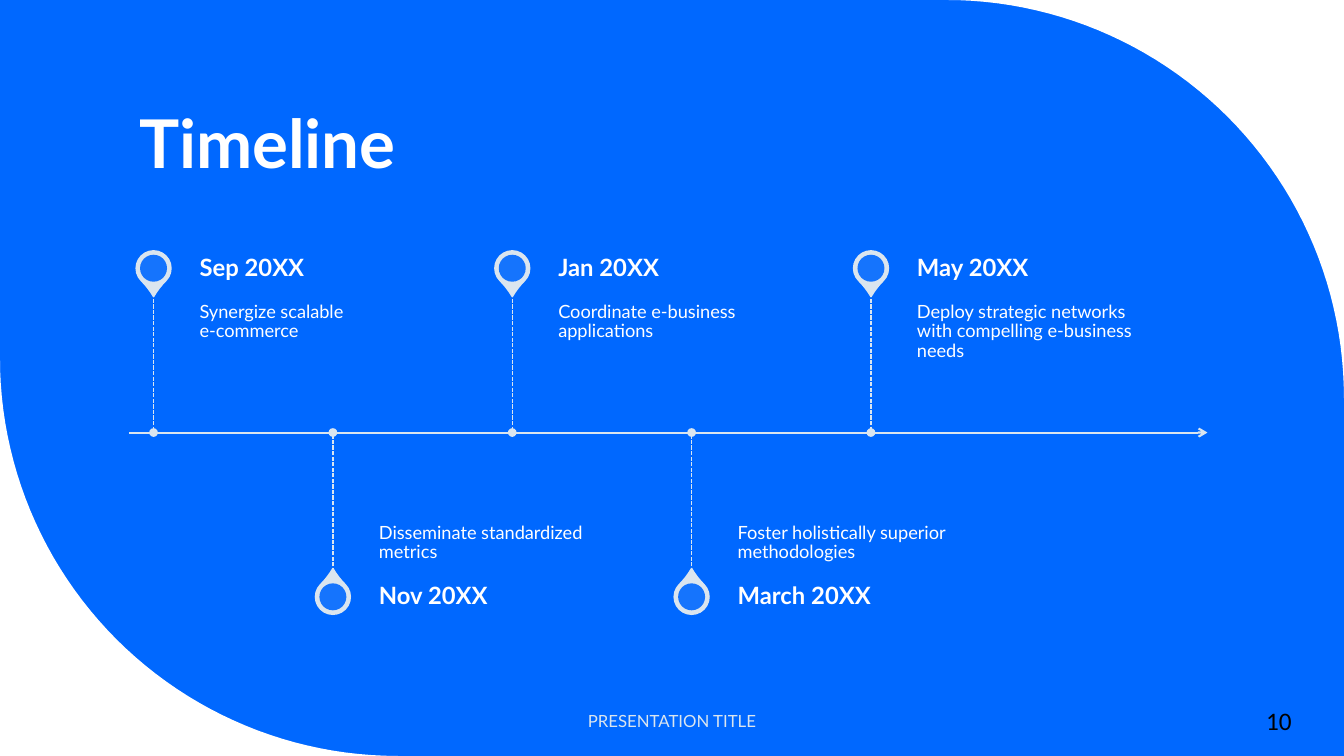
import math

import pptx
import pptx.dml.color
import pptx.enum.dml
import pptx.enum.shapes
import pptx.enum.text
import pptx.oxml
import pptx.oxml.ns
import pptx.util
from pptx.util import Cm

SHAPE = pptx.enum.shapes.MSO_SHAPE
ANCHOR = pptx.enum.text.MSO_ANCHOR
ALIGN = pptx.enum.text.PP_ALIGN
DASH = pptx.enum.dml.MSO_LINE

BLUE, WHITE, PALE, BLACK = "0068FF", "FFFFFF", "DAE5EF", "000000"
SLIDE_W, SLIDE_H = 33.87, 19.05

# Timeline layout in centimetres
AXIS_Y, AXIS_START, AXIS_END = 10.9, 3.25, 30.43
FIRST_X, STEP_X = 3.87, 4.52
STEM, DATE_H = 3.51, 1.24
PIN_OFFSET = 4.14
TEXT_GAP, TEXT_W = 1.16, 6.43

EVENTS = [
    ("Sep 20XX", "Synergize scalable\ne-commerce"),
    ("Nov 20XX", "Disseminate standardized metrics"),
    ("Jan 20XX", "Coordinate e-business applications"),
    ("March 20XX", "Foster holistically superior methodologies"),
    ("May 20XX", "Deploy strategic networks with compelling e-business needs"),
]


def paint(color_format, value):
    color_format.rgb = pptx.dml.color.RGBColor.from_string(value)


def add_element(parent, tag, **attributes):
    child = pptx.oxml.parse_xml(f"<a:{tag} {pptx.oxml.ns.nsdecls('a')}/>")
    for key, value in attributes.items():
        child.set(key, value)
    parent.append(child)


class TimelineSlide:
    """Holds the slide and its style."""

    font = "Lato"

    def __init__(self, slide):
        self.slide = slide
        self.shapes = slide.shapes
        background = slide.background.fill
        background.solid()
        paint(background.fore_color, BLUE)

    def fill(self, shape, color, alpha=None):
        shape.shadow.inherit = False
        shape.fill.solid()
        paint(shape.fill.fore_color, color)
        shape.line.fill.background()
        if alpha:
            solid = shape._element.spPr.find(pptx.oxml.ns.qn("a:solidFill"))
            add_element(solid[0], "alpha", val=str(alpha * 1000))

    def corner(self, x, y, sign):
        """Fill a slide corner outside a quarter circle."""
        radius, steps = 10.03, 48
        center_x, center_y = x - sign * radius, y + sign * radius
        angles = [math.pi / 2 * i / steps for i in range(steps + 1)]
        arc = [(Cm(center_x + sign * radius * math.sin(a)),
                Cm(center_y - sign * radius * math.cos(a))) for a in angles]
        builder = self.shapes.build_freeform(Cm(x), Cm(y))
        builder.add_line_segments(arc, close=True)
        self.fill(builder.convert_to_shape(), WHITE)

    def centered(self, kind, x, y, size, color, alpha=None):
        shape = self.shapes.add_shape(
            kind, Cm(x - size / 2), Cm(y - size / 2), Cm(size), Cm(size))
        self.fill(shape, color, alpha)
        return shape

    def line(self, x1, y1, x2, y2, width, dashed=False, arrow=False):
        line = self.shapes.add_connector(
            pptx.enum.shapes.MSO_CONNECTOR.STRAIGHT, Cm(x1), Cm(y1), Cm(x2), Cm(y2))
        paint(line.line.color, PALE)
        line.line.width = pptx.util.Pt(width)
        if dashed:
            line.line.dash_style = DASH.SQUARE_DOT
        properties = line._element.spPr
        if arrow:
            add_element(properties.find(pptx.oxml.ns.qn("a:ln")), "tailEnd", type="arrow")
        add_element(properties, "effectLst")

    def pin(self, x, y, points_down):
        drop = self.centered(SHAPE.TEAR, x, y, 0.88, PALE)
        drop.adjustments[0] = 1.15
        drop.rotation = 135 if points_down else 315
        drop.line.fill.solid()
        paint(drop.line.color, PALE)
        drop.line.width = pptx.util.Pt(1)
        self.centered(SHAPE.OVAL, x, y, 0.68, BLUE, alpha=90)

    def set_text(self, shape, text, size, color=WHITE, bold=False, font=None,
                 anchor=ANCHOR.MIDDLE, align=ALIGN.LEFT, insets=None, spacing=0.9):
        frame = shape.text_frame
        frame.word_wrap = True
        frame.auto_size = pptx.enum.text.MSO_AUTO_SIZE.NONE
        frame.vertical_anchor = anchor
        if insets:
            (frame.margin_left, frame.margin_top,
             frame.margin_right, frame.margin_bottom) = map(Cm, insets)
        paragraph = frame.paragraphs[0]
        paragraph.text = text
        paragraph.alignment = align
        paragraph.line_spacing = spacing
        for run in paragraph.runs:
            run.font.name = font or self.font
            run.font.size = pptx.util.Pt(size)
            run.font.bold = bold
            paint(run.font.color, color)

    def title(self, text, x, y, w, h):
        heading = self.shapes.title
        heading.left, heading.top, heading.width, heading.height = map(Cm, (x, y, w, h))
        self.set_text(heading, text, 48, bold=True, anchor=ANCHOR.BOTTOM)

    def text(self, text, x, y, w, h, size, **style):
        box = self.shapes.add_textbox(Cm(x), Cm(y), Cm(w), Cm(h))
        self.set_text(box, text, size, **style)

    def event(self, x, date, detail, above):
        side = -1 if above else 1
        tip_y = AXIS_Y + side * STEM
        text_x = x + TEXT_GAP
        self.line(x, tip_y, x, AXIS_Y, 1, dashed=True)
        self.centered(SHAPE.OVAL, x, AXIS_Y, 0.22, PALE)
        self.pin(x, AXIS_Y + side * PIN_OFFSET, above)
        self.text(detail, text_x, min(tip_y, AXIS_Y), TEXT_W, STEM, 13,
                  anchor=ANCHOR.TOP if above else ANCHOR.BOTTOM,
                  insets=(0, 0.23, 0.23, 0.36) if above else (0, 0.36, 0, 0.23))
        self.text(date, text_x, tip_y - DATE_H if above else tip_y, TEXT_W, DATE_H, 17,
                  bold=True, insets=(0, 0, 0.3, 0))


def main():
    deck = pptx.Presentation()
    deck.slide_width, deck.slide_height = Cm(SLIDE_W), Cm(SLIDE_H)
    timeline = TimelineSlide(deck.slides.add_slide(deck.slide_layouts[5]))

    # Rounded background corners and title
    timeline.corner(SLIDE_W, 0, 1)
    timeline.corner(0, SLIDE_H, -1)
    timeline.title("Timeline", 3.25, 0, 27.15, 4.75)

    # Axis with events alternating above and below
    timeline.line(AXIS_START, AXIS_Y, AXIS_END, AXIS_Y, 1.5, arrow=True)
    for index, (date, detail) in enumerate(EVENTS):
        timeline.event(FIRST_X + index * STEP_X, date, detail, index % 2 == 0)

    # Footer and page number
    timeline.text("PRESENTATION TITLE", 11.22, 17.66, 11.43, 1.01, 12,
                  color=PALE, align=ALIGN.CENTER, spacing=1.0)
    timeline.text("10", 28.2, 17.66, 4.6, 1.01, 18, color=BLACK,
                  font="Calibri", align=ALIGN.RIGHT, spacing=1.0)

    deck.save("out.pptx")


if __name__ == "__main__":
    main()
